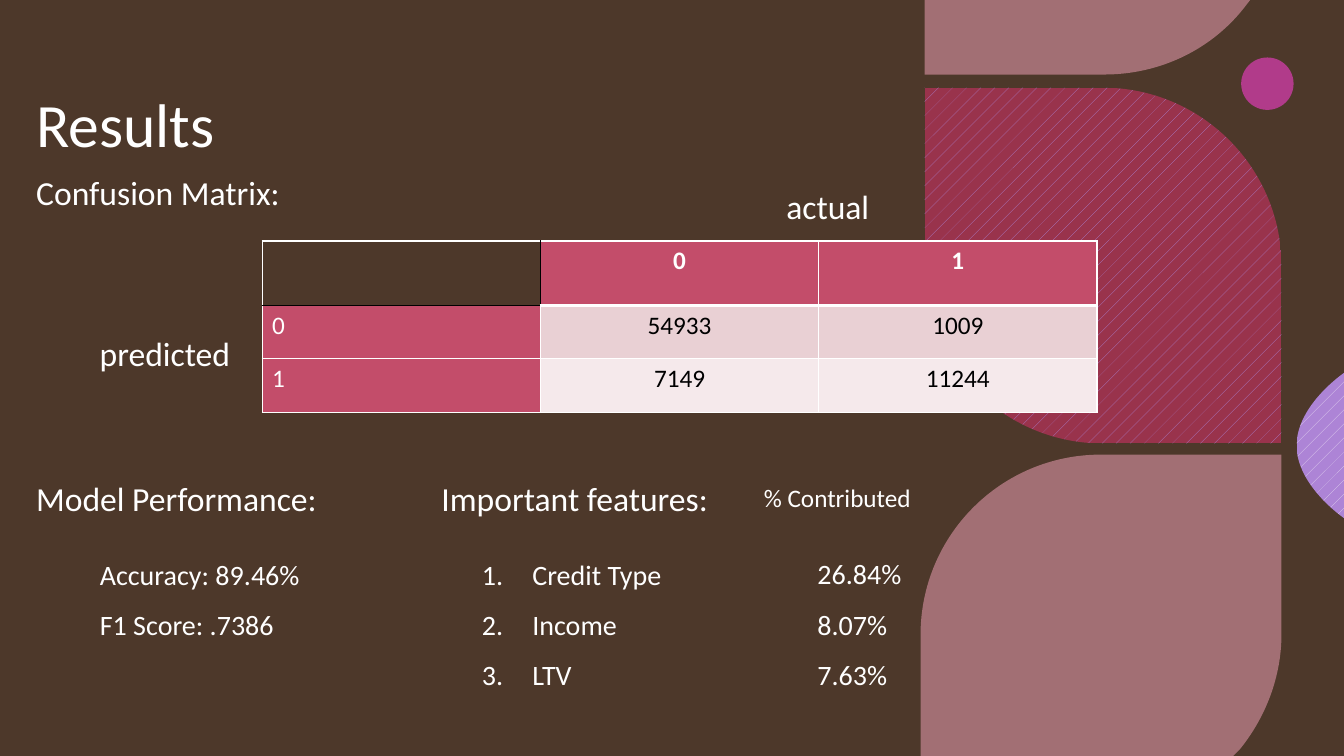
"""Build the model results slide with its confusion matrix and feature ranking."""
from dataclasses import dataclass
from typing import Optional

from lxml import etree
from pptx import Presentation
from pptx import util as u
from pptx.dml.color import RGBColor
from pptx.enum import dml, shapes, text
from pptx.oxml import ns


@dataclass(frozen=True)
class Theme:
    font: str = "Calibri"
    base: str = "31241B"
    veil: str = "775742"
    dot: str = "B13B8A"
    rose: str = "DB94A6"
    lilac: str = "AD84D6"
    pale_lilac: str = "E4D6F1"
    wine: str = "99334C"
    header: str = "C34D6A"
    bands: tuple = ("E9D0D4", "F5E9EB")
    white: str = "FFFFFF"
    black: str = "000000"
    title: int = 44
    heading: int = 24
    item: int = 20
    small: int = 18


T = Theme()


@dataclass(frozen=True)
class Petal:
    start: tuple
    steps: tuple
    color: str
    hatch: Optional[str] = None
    opacity: int = 100


@dataclass(frozen=True)
class Block:
    box: tuple
    lines: tuple
    size: int = T.heading
    spacing: float = 1.0
    align: text.PP_ALIGN = text.PP_ALIGN.LEFT
    numbered: bool = False


PETALS = (
    Petal((9.17, 0), ((12.4, 0), (12.33, 0.09), (12.01, 0.49, 11.51, 0.74, 10.95, 0.74),
                      (9.17, 0.74)), T.rose, opacity=60),
    Petal((10.92, 4.51), ((12.71, 4.51), (12.71, 6.29), (12.71, 6.72, 12.55, 7.12, 12.3, 7.43),
                          (12.23, 7.5), (9.13, 7.5), (9.13, 6.3),
                          (9.13, 5.31, 9.93, 4.51, 10.92, 4.51)), T.rose, opacity=60),
    Petal((13.33, 3.7), ((13.33, 5.14), (13.33, 5.14, 12.86, 4.82, 12.86, 4.42),
                         (12.86, 4.02, 13.33, 3.7, 13.33, 3.7)), T.lilac, T.pale_lilac),
    Petal((12.71, 4.4), ((10.94, 4.4), (9.96, 4.4, 9.17, 3.61, 9.17, 2.63), (9.17, 0.87),
                         (10.94, 0.87), (11.91, 0.87, 12.71, 1.66, 12.71, 2.64)),
          T.wine, T.lilac),
)
TITLE = Block((0.26, 0.2, 8.4, 1.45), ("Results",), T.title, 0.9)
FEATURES = Block((4.68, 5.31, 2.74, 1.57), ("Credit Type", "Income", "LTV"), T.item, 1.5,
                 numbered=True)
SCORES = Block((0.89, 5.31, 2.38, 1.06), ("Accuracy: 89.46%", "F1 Score: .7386"), T.item, 1.5)
LABELS = (
    Block((7.7, 1.8, 2.31, 0.5), ("actual",)),
    Block((0.89, 3.25, 3.41, 0.5), ("predicted",)),
    Block((0.26, 1.66, 5.62, 0.5), ("Confusion Matrix:",)),
    Block((0.26, 4.69, 3.07, 0.5), ("Model Performance:",)),
    Block((4.28, 4.69, 3.14, 0.5), ("Important features:",)),
    Block((7.43, 4.74, 1.75, 0.4), ("% Contributed",), T.small, align=text.PP_ALIGN.CENTER),
    Block((8.01, 5.31, 1.17, 1.57), ("26.84%", "8.07%", "7.63%"), T.item, 1.5),
)
MATRIX = (("", "0", "1"), ("0", "54933", "1009"), ("1", "7149", "11244"))


def rgb(color: str) -> RGBColor:
    return RGBColor.from_string(color)


def paint(sp, color: str, opacity: int = 100, hatch: Optional[str] = None) -> None:
    sp.shadow.inherit = False
    sp.line.fill.background()
    if hatch:
        sp.fill.patterned()
        sp.fill.pattern = dml.MSO_PATTERN.PERCENT_5
        sp.fill.fore_color.rgb = rgb(hatch)
        sp.fill.back_color.rgb = rgb(color)
        return
    sp.fill.solid()
    sp.fill.fore_color.rgb = rgb(color)
    if opacity < 100:
        clr = sp.element.find(".//" + ns.qn("a:srgbClr"))
        etree.SubElement(clr, ns.qn("a:alpha")).set("val", str(opacity * 1000))


def draw_petal(group, petal: Petal) -> None:
    fb = group.shapes.build_freeform(*map(u.Inches, petal.start))
    fb.add_line_segments([tuple(map(u.Inches, step[-2:])) for step in petal.steps])
    sp = fb.convert_to_shape()
    segments = list(sp.element.iter(ns.qn("a:lnTo")))
    for segment, step in zip(segments, petal.steps):
        if len(step) == 2:
            continue
        curve = etree.Element(ns.qn("a:cubicBezTo"))
        for x, y in zip(step[::2], step[1::2]):
            pt = etree.SubElement(curve, ns.qn("a:pt"))
            pt.set("x", str(u.Inches(x) - sp.left))
            pt.set("y", str(u.Inches(y) - sp.top))
        segment.getparent().replace(segment, curve)
    paint(sp, petal.color, petal.opacity, petal.hatch)


def draw_backdrop(s) -> None:
    s.background.fill.solid()
    s.background.fill.fore_color.rgb = rgb(T.base)
    veil = s.shapes.add_shape(shapes.MSO_SHAPE.RECTANGLE, 0, 0, u.Inches(13.33), u.Inches(7.5))
    paint(veil, T.veil, 40)
    group = s.shapes.add_group_shape()
    dot = group.shapes.add_shape(shapes.MSO_SHAPE.OVAL, *map(u.Inches, (12.31, 0.57, 0.52, 0.52)))
    paint(dot, T.dot)
    for petal in PETALS:
        draw_petal(group, petal)
    for depth, layer in enumerate((veil, group), start=2):
        s.shapes.element.insert(depth, layer.element)


def style_paragraph(p, size: int, color: str, align: text.PP_ALIGN, bold: bool = False) -> None:
    p.alignment = align
    for r in p.runs:
        r.font.name, r.font.size, r.font.bold = T.font, u.Pt(size), bold
        r.font.color.rgb = rgb(color)


def fill_block(sp, block: Block) -> None:
    sp.left, sp.top, sp.width, sp.height = map(u.Inches, block.box)
    tf = sp.text_frame
    tf.text = "\n".join(block.lines)
    tf.word_wrap = True
    for p in tf.paragraphs:
        style_paragraph(p, block.size, T.white, block.align)
        p.line_spacing, p.space_before = block.spacing, u.Pt(0)
        pPr = p._p.get_or_add_pPr()
        indent = u.Inches(0.5) if block.numbered else 0
        pPr.set("marL", str(indent))
        pPr.set("indent", str(-indent))
        if block.numbered:
            etree.SubElement(pPr, ns.qn("a:buFont")).set("typeface", "+mj-lt")
            etree.SubElement(pPr, ns.qn("a:buAutoNum")).set("type", "arabicPeriod")
        else:
            etree.SubElement(pPr, ns.qn("a:buNone"))


def set_border(cell, side: str, color: str, width: int) -> None:
    ln = etree.SubElement(cell._tc.get_or_add_tcPr(), ns.qn("a:ln" + side))
    ln.set("w", str(u.Pt(width)))
    fill = etree.SubElement(ln, ns.qn("a:solidFill"))
    etree.SubElement(fill, ns.qn("a:srgbClr")).set("val", color)


def style_cell(cell, row: int, col: int) -> None:
    borders = {side: (T.white, 1) for side in "LRTB"}
    if (row, col) == (0, 0):
        borders.update(R=(T.black, 1), B=(T.black, 1))
    elif row == 0:
        borders["B"] = (T.white, 3)
        if col == 1:
            borders["L"] = (T.black, 1)
    elif row == 1:
        borders["T"] = (T.white, 3) if col else (T.black, 1)
    for side, (color, width) in borders.items():
        set_border(cell, side, color, width)
    is_header = row == 0 or col == 0
    if row == col == 0:
        cell.fill.background()
    else:
        cell.fill.solid()
        cell.fill.fore_color.rgb = rgb(T.header if is_header else T.bands[row - 1])
    style_paragraph(cell.text_frame.paragraphs[0], T.small, T.white if is_header else T.black,
                    text.PP_ALIGN.CENTER if col else text.PP_ALIGN.LEFT, row == 0)


def draw_matrix(s) -> None:
    table = s.shapes.add_table(3, 3, *map(u.Inches, (2.6, 2.39, 8.28, 1.7))).table
    table.first_row = table.horz_banding = False
    for column in table.columns:
        column.width = u.Inches(2.76)
    for i, values in enumerate(MATRIX):
        table.rows[i].height = u.Inches(0.53 if i else 0.64)
        for j, value in enumerate(values):
            table.cell(i, j).text = value
            style_cell(table.cell(i, j), i, j)


def main() -> None:
    prs = Presentation()
    prs.slide_width, prs.slide_height = u.Inches(13.33), u.Inches(7.5)
    s = prs.slides.add_slide(prs.slide_layouts.get_by_name("Two Content"))
    draw_backdrop(s)
    for sp, block in zip(s.placeholders, (TITLE, FEATURES, SCORES)):
        fill_block(sp, block)
        sp.text_frame.auto_size = text.MSO_AUTO_SIZE.NONE
    s.shapes.title.text_frame.vertical_anchor = text.MSO_ANCHOR.BOTTOM
    draw_matrix(s)
    for block in LABELS:
        sp = s.shapes.add_textbox(*map(u.Inches, block.box))
        fill_block(sp, block)
        sp.text_frame.auto_size = text.MSO_AUTO_SIZE.SHAPE_TO_FIT_TEXT
    prs.save("out.pptx")


if __name__ == "__main__":
    main()
